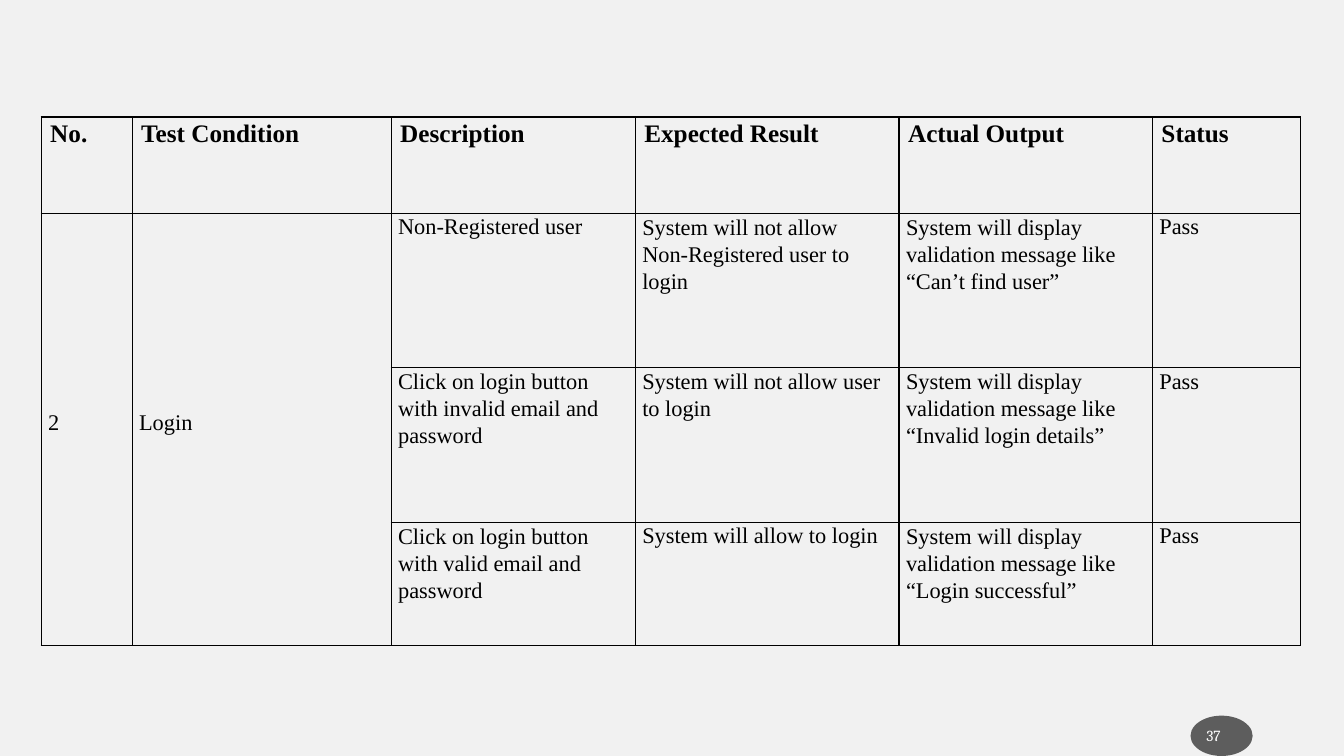
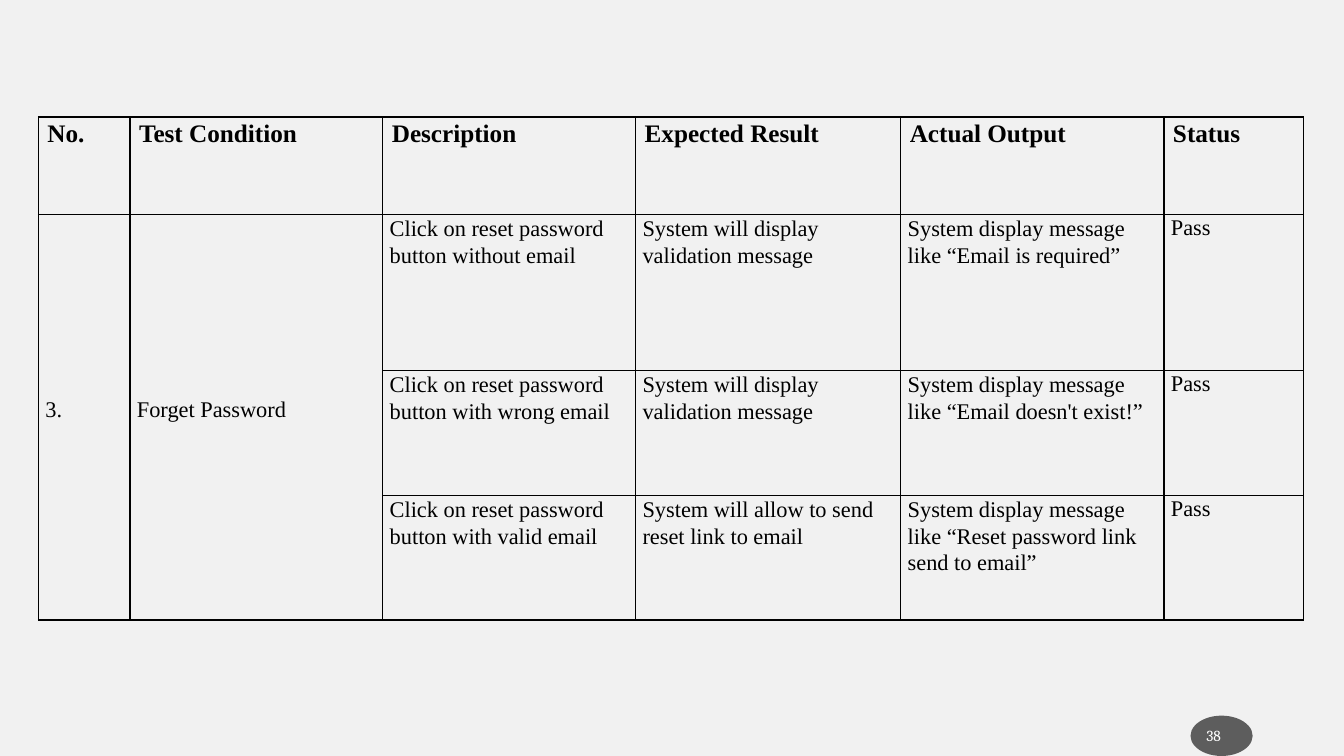
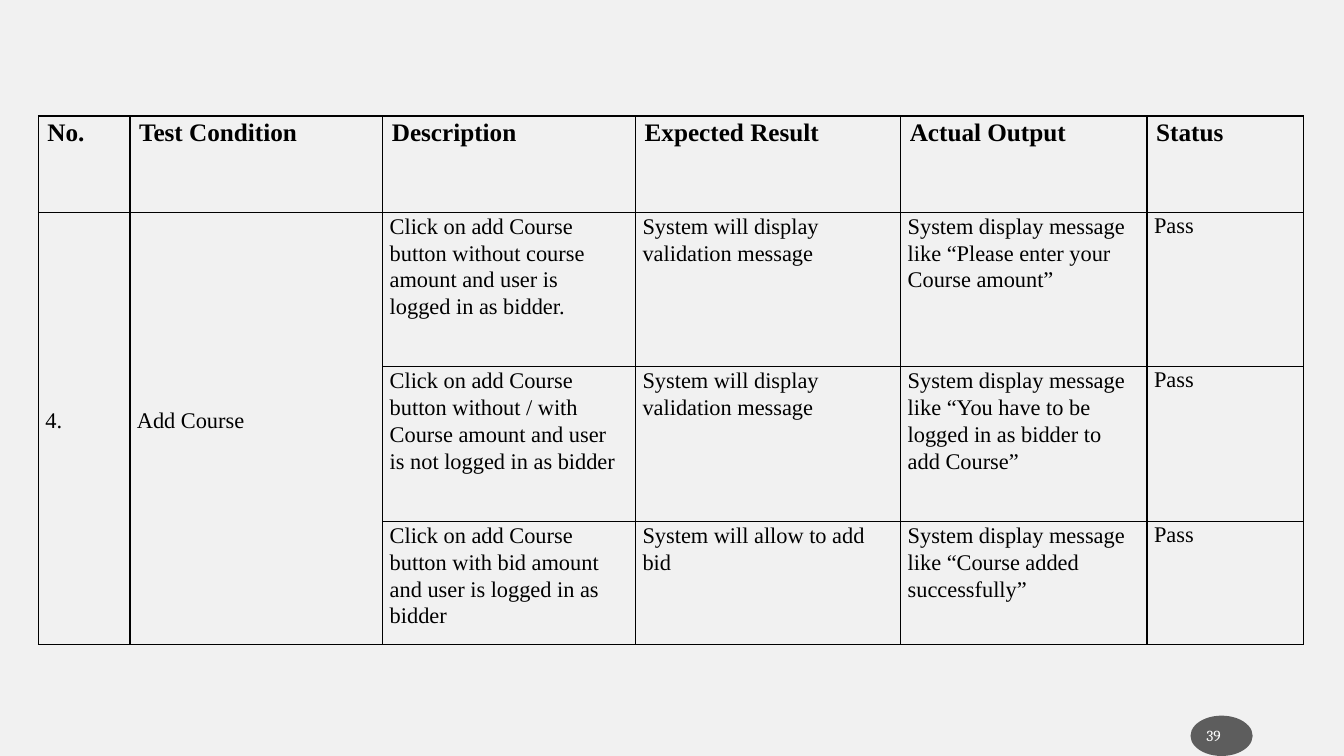
from lxml.etree import SubElement
from pptx import Presentation
from pptx.dml.color import RGBColor
from pptx.enum.shapes import MSO_SHAPE
from pptx.enum.text import MSO_ANCHOR
from pptx.oxml.ns import qn
from pptx.util import Pt

BACKGROUND = RGBColor(0xF1, 0xF1, 0xF1)
BADGE = RGBColor(0x1C, 0x1C, 0x1C)
INK = RGBColor(0, 0, 0)
WHITE = RGBColor(255, 255, 255)
TABLE_FONT = "Times New Roman"
NUMBER_FONT = "Cambria"
ONE_LINE_LENGTH = 26
HEADINGS = ["No.", "Test Condition", "Description", "Expected Result",
            "Actual Output", "Status"]

TEST_CASES = [
    dict(page=37, number="2", condition="Login", left=29.4, top=83.6,
         columns=[65, 185, 174.4, 188.4, 181, 106],
         rows=[68.8, 110.4, 110.4, 88],
         checks=[
             ["Non-Registered user",
              "System will not allow Non-Registered user to login",
              "System will display validation message like “Can’t find user”",
              "Pass"],
             ["Click on login button with invalid email and password",
              "System will not allow user to login",
              "System will display validation message like “Invalid login details”",
              "Pass"],
             ["Click on login button with valid email and password",
              "System will allow to login",
              "System will display validation message like “Login successful”",
              "Pass"]]),
    dict(page=38, number="3.", condition="Forget Password", left=27.4, top=83.6,
         columns=[65.4, 180.6, 180.6, 189.4, 188, 100],
         rows=[69.6, 111.4, 89.2, 89.2],
         checks=[
             ["Click on reset password button without email",
              "System will display validation message",
              "System display message like “Email is required”",
              "Pass"],
             ["Click on reset password button with wrong email",
              "System will display validation message",
              "System display message like “Email doesn't exist!”",
              "Pass"],
             ["Click on reset password button with valid email",
              "System will allow to send reset link to email",
              "System display message like “Reset password link send to email”",
              "Pass"]]),
    dict(page=39, number="4.", condition="Add Course", left=27.4, top=82.8,
         columns=[65.4, 180.6, 180.6, 189.4, 176, 112],
         rows=[68.8, 110.4, 110.4, 88],
         checks=[
             ["Click on add Course button without course amount and user is "
              "logged in as bidder.",
              "System will display validation message",
              "System display message like “Please enter your Course amount”",
              "Pass"],
             ["Click on add Course button without / with Course amount and user "
              "is not logged in as bidder",
              "System will display validation message",
              "System display message like “You have to be logged in as bidder "
              "to add Course”",
              "Pass"],
             ["Click on add Course button with bid amount and user is logged in "
              "as bidder",
              "System will allow to add bid",
              "System display message like “Course added successfully”",
              "Pass"]]),
]


def write_text(frame, text, font=TABLE_FONT, size=16, color=INK, bold=False,
               leading=None):
    """Put one formatted paragraph into a text frame."""
    frame.word_wrap = True
    paragraph = frame.paragraphs[0]
    run = paragraph.add_run()
    run.text = text
    run.font.name = font
    run.font.size = Pt(size)
    run.font.bold = bold
    run.font.color.rgb = color
    if leading:
        paragraph.line_spacing = Pt(leading)


def set_margins(holder, left=0, top=0, right=0, bottom=0):
    """Set the insets of a cell or a text frame."""
    holder.margin_left, holder.margin_top = Pt(left), Pt(top)
    holder.margin_right, holder.margin_bottom = Pt(right), Pt(bottom)


def draw_borders(cell):
    """Give a cell thin lines on all sides and no fill."""
    properties = cell._tc.get_or_add_tcPr()
    for side in ("a:lnL", "a:lnR", "a:lnT", "a:lnB"):
        border = SubElement(properties, qn(side), w=str(Pt(1)))
        solid = SubElement(border, qn("a:solidFill"))
        SubElement(solid, qn("a:srgbClr"), val=str(INK))
    cell.fill.background()


def write_heading(cell, text):
    """Fill a cell of the heading row."""
    set_margins(cell, left=6.5, top=2.2)
    write_text(cell.text_frame, text, size=18, bold=True)


def write_check(cell, text):
    """Fill a cell that describes one check."""
    set_margins(cell, left=5, right=11)
    leading = 18.6 if len(text) <= ONE_LINE_LENGTH else 19.2
    write_text(cell.text_frame, text, leading=leading)


def write_group(table, column, text):
    """Merge a column below its heading and fill it."""
    group = table.cell(1, column)
    group.merge(table.cell(len(table.rows) - 1, column))
    group.vertical_anchor = MSO_ANCHOR.MIDDLE
    set_margins(group, left=5, bottom=10)
    write_text(group.text_frame, text)


def add_test_table(slide, case):
    """Add the table of one test case."""
    columns, rows = case["columns"], case["rows"]
    table = slide.shapes.add_table(
        len(rows), len(columns), Pt(case["left"]), Pt(case["top"]),
        Pt(sum(columns)), Pt(sum(rows))).table
    table.first_row = table.horz_banding = False
    for column, width in zip(table.columns, columns):
        column.width = Pt(width)
    for row, height in zip(table.rows, rows):
        row.height = Pt(height)
    for cell in table.iter_cells():
        draw_borders(cell)
    for column, heading in enumerate(HEADINGS):
        write_heading(table.cell(0, column), heading)
    write_group(table, 0, case["number"])
    write_group(table, 1, case["condition"])
    for row, check in enumerate(case["checks"], start=1):
        for column, text in enumerate(check, start=2):
            write_check(table.cell(row, column), text)


def add_badge(slide):
    """Add the translucent oval behind the page number."""
    badge = slide.shapes.add_shape(
        MSO_SHAPE.OVAL, Pt(850.4), Pt(511.2), Pt(44.4), Pt(28.8))
    badge.shadow.inherit = False
    badge.fill.solid()
    badge.fill.fore_color.rgb = BADGE
    badge.line.fill.background()
    tint = next(badge._element.spPr.iter(qn("a:srgbClr")))
    SubElement(tint, qn("a:alpha"), val="69000")


def add_page_number(slide, page):
    """Add the page number over its badge."""
    number = slide.shapes.add_textbox(Pt(854.6), Pt(518.6), Pt(31.6), Pt(15))
    set_margins(number.text_frame, left=7.2)
    write_text(number.text_frame, str(page), font=NUMBER_FONT, size=11, color=WHITE)


def main():
    """Build the test case slides."""
    deck = Presentation()
    deck.slide_width, deck.slide_height = Pt(960), Pt(540)
    backdrop = deck.slide_master.background.fill
    backdrop.solid()
    backdrop.fore_color.rgb = BACKGROUND
    for case in TEST_CASES:
        slide = deck.slides.add_slide(deck.slide_layouts[6])
        add_badge(slide)
        add_test_table(slide, case)
        add_page_number(slide, case["page"])
    deck.save("out.pptx")


if __name__ == "__main__":
    main()
